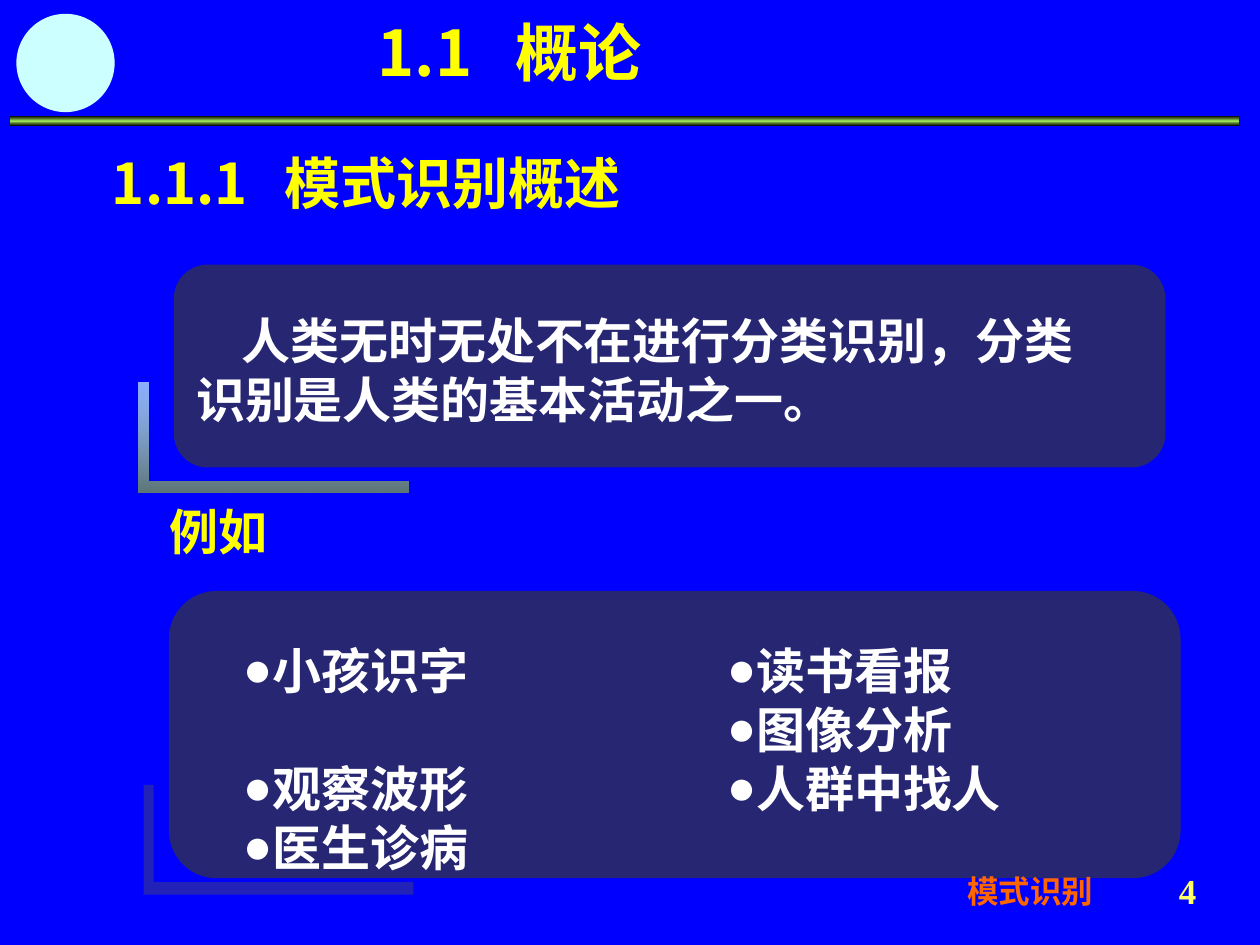
from lxml import etree
from pptx import Presentation, util as u
from pptx.dml.color import RGBColor
from pptx.enum import shapes, text
from pptx.oxml.ns import qn

BLUE = RGBColor(0x00, 0x00, 0xFF)
NAVY = RGBColor(0x26, 0x26, 0x73)
INDIGO = RGBColor(0x33, 0x33, 0x99)
PALE = RGBColor(0xCC, 0xFF, 0xFF)
SLATE = RGBColor(0x5E, 0x76, 0x76)
GREEN = RGBColor(0x9C, 0xE1, 0x57)
BLACK = RGBColor(0x00, 0x00, 0x00)
WHITE = RGBColor(0xFF, 0xFF, 0xFF)
YELLOW = RGBColor(0xFF, 0xFF, 0x00)
LEMON = RGBColor(0xFF, 0xFF, 0x66)
ORANGE = RGBColor(0xFF, 0x66, 0x00)

CJK = "Noto Sans CJK SC"
LINE = u.Pt(33.7)
Shape = shapes.MSO_SHAPE


def set_all(obj, **values):
    for name, value in values.items():
        setattr(obj, name, value)


def add_color(parent, color, alpha):
    clr = etree.SubElement(parent, qn("a:srgbClr"), val=str(color))
    if alpha < 100:
        etree.SubElement(clr, qn("a:alpha"), val=str(alpha * 1000))


def paint(sp, *stops):
    """Fill with (position, colour, alpha) stops from top to bottom; one stop is a solid fill."""
    sp.shadow.inherit = False
    sp.line.fill.background()
    if len(stops) == 1:
        sp.fill.solid()
        sp.fill.fore_color.rgb = stops[0][1]
        solid = sp._element.spPr.find(qn("a:solidFill"))
        solid.clear()
        add_color(solid, *stops[0][1:])
        return
    sp.fill.gradient()
    sp.fill.gradient_angle = 270
    stop_list = sp._element.spPr.find(qn("a:gradFill")).find(qn("a:gsLst"))
    stop_list.clear()
    for pos, color, alpha in stops:
        add_color(etree.SubElement(stop_list, qn("a:gs"), pos=str(pos * 1000)), color, alpha)


def add_block(s, kind, x, y, w, h, *stops):
    sp = s.shapes.add_shape(kind, *map(u.Inches, (x, y, w, h)))
    paint(sp, *stops)
    return sp


def write(p, words, size, color, font=CJK):
    r = p.add_run()
    r.text = words
    set_all(r.font, size=u.Pt(size), bold=True, name=font)
    r.font.color.rgb = color
    etree.SubElement(r._r.get_or_add_rPr(), qn("a:ea"), typeface=CJK)


def add_text(s, x, y, w, h):
    tf = s.shapes.add_textbox(*map(u.Inches, (x, y, w, h))).text_frame
    tf.word_wrap = True
    return tf


def add_heading(s, x, y, w, h, number, words, size, tab):
    """Section number, then the heading at a tab stop."""
    p = add_text(s, x, y, w, h).paragraphs[0]
    tabs = etree.SubElement(p._p.get_or_add_pPr(), qn("a:tabLst"))
    etree.SubElement(tabs, qn("a:tab"), pos=str(u.Inches(tab)), algn="l")
    write(p, number + "\t" + words, size, YELLOW)


def add_label(s, x, y, w, h, words, size, color, font="Arial", align=text.PP_ALIGN.LEFT):
    p = add_text(s, x, y, w, h).paragraphs[0]
    p.alignment = align
    write(p, words, size, color, font)


def add_corner(s, x, y, w, h, *stops):
    """L-shaped bracket."""
    thick_x, thick_y = 0.08, 0.1
    points = [(x + thick_x, y), (x, y), (x, y + h), (x + w, y + h),
              (x + w, y + h - thick_y), (x + thick_x, y + h - thick_y)]
    points = [tuple(map(u.Inches, pt)) for pt in points]
    builder = s.shapes.build_freeform(*points[0], scale=1.0)
    builder.add_line_segments(points[1:], close=True)
    paint(builder.convert_to_shape(), *stops)


def add_panel(s, x, y, w, h):
    return add_block(s, Shape.ROUNDED_RECTANGLE, x, y, w, h, (0, NAVY, 100))


def add_statement(s, x, y, w, h, lines):
    tf = add_panel(s, x, y, w, h).text_frame
    set_all(tf, word_wrap=False, margin_top=u.Inches(0.1),
            vertical_anchor=text.MSO_ANCHOR.MIDDLE)
    p = tf.paragraphs[0]
    set_all(p, alignment=text.PP_ALIGN.LEFT, line_spacing=LINE)
    p._p.get_or_add_pPr().set("indent", str(u.Inches(0.36)))
    for i, line in enumerate(lines):
        if i:
            p.add_line_break()
        write(p, line, 28, WHITE)


def add_bullets(s, x, y, w, h, items, first_gap=0):
    tf = add_text(s, x, y, w, h)
    for i, item in enumerate(items):
        p = tf.paragraphs[0] if i == 0 else tf.add_paragraph()
        set_all(p, line_spacing=LINE, space_after=first_gap if i == 0 else 0)
        pPr = p._p.get_or_add_pPr()
        pPr.set("marL", str(u.Inches(0.23)))
        pPr.set("indent", str(u.Inches(-0.23)))
        add_color(etree.SubElement(pPr, qn("a:buClr")), WHITE, 100)
        etree.SubElement(pPr, qn("a:buFont"), typeface="Arial")
        etree.SubElement(pPr, qn("a:buChar"), char="●")
        write(p, item, 28, WHITE)


def add_header(s):
    add_block(s, Shape.RECTANGLE, 0.08, 0.92, 9.75, 0.08,
              (0, BLACK, 100), (50, GREEN, 100), (100, BLACK, 100))
    add_block(s, Shape.OVAL, 0.13, 0.11, 0.78, 0.78, (0, PALE, 100))
    add_heading(s, 2.9, 0.06, 2.82, 0.85, "1.1", "概论", 36, 1.09)


def add_overview(s):
    add_heading(s, 0.79, 1.13, 7.48, 0.64, "1.1.1", "模式识别概述", 32, 1.37)
    add_corner(s, 1.1, 3.04, 2.14, 0.87, (0, PALE, 68), (100, SLATE, 100))
    add_statement(s, 1.38, 2.1, 7.87, 1.61,
                  ["人类无时无处不在进行分类识别，分类", "识别是人类的基本活动之一。"])


def add_examples(s):
    add_label(s, 1.25, 3.93, 1.17, 0.57, "例如", 28, YELLOW)
    add_corner(s, 1.14, 6.23, 2.14, 0.87, (0, INDIGO, 68))
    add_panel(s, 1.34, 4.69, 8.03, 2.28)
    add_bullets(s, 1.83, 5.03, 3.33, 2, ["小孩识字", "观察波形", "医生诊病"], LINE)
    add_bullets(s, 5.67, 5.03, 3.33, 1.5, ["读书看报", "图像分析", "人群中找人"])


def add_footer(s):
    add_label(s, 7.58, 6.87, 1.68, 0.4, "模式识别", 18, ORANGE)
    add_label(s, 9.1, 6.85, 0.65, 0.52, "4", 20, LEMON, "Times New Roman",
              text.PP_ALIGN.CENTER)


def main():
    prs = Presentation()
    set_all(prs, slide_width=u.Inches(10), slide_height=u.Inches(7.5))
    s = prs.slides.add_slide(prs.slide_layouts[6])
    s.background.fill.solid()
    s.background.fill.fore_color.rgb = BLUE
    add_header(s)
    add_overview(s)
    add_examples(s)
    add_footer(s)
    prs.save("out.pptx")


if __name__ == "__main__":
    main()
